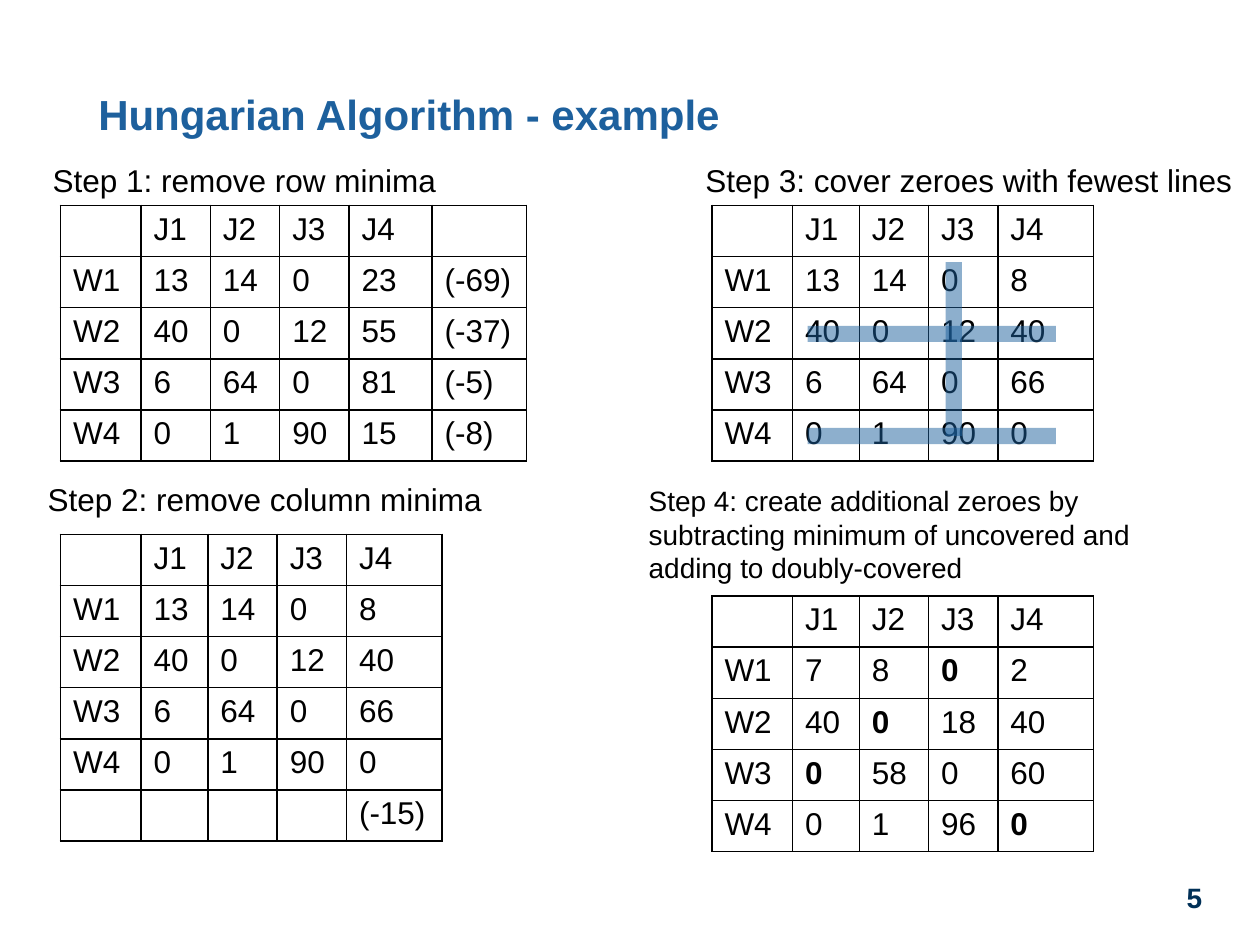
import pptx
import pptx.util
import pptx.dml.color
import pptx.enum.shapes
import pptx.enum.text
import pptx.oxml
import pptx.oxml.ns
from dataclasses import dataclass
from pptx.util import Inches


@dataclass(frozen=True)
class Theme:
    font: str = "Arial"
    heading: str = "1D609D"
    number: str = "003057"
    ink: str = "000000"
    title_size: int = 24
    body_size: int = 18
    small_size: int = 16
    border: float = 1
    cover_width: float = 9.25
    cover_alpha: int = 50


theme = Theme()
title_text = "Hungarian Algorithm - example"
page_number = "5"
jobs = ["", "J1", "J2", "J3", "J4"]
column_reduced = [
    jobs,
    ["W1", "13", "14", "0", "8"],
    ["W2", "40", "0", "12", "40"],
    ["W3", "6", "64", "0", "66"],
    ["W4", "0", "1", "90", "0"],
]
row_reduced = [
    jobs + [""],
    ["W1", "13", "14", "0", "23", "(-69)"],
    ["W2", "40", "0", "12", "55", "(-37)"],
    ["W3", "6", "64", "0", "81", "(-5)"],
    ["W4", "0", "1", "90", "15", "(-8)"],
]
adjusted = [
    jobs,
    ["W1", "7", "8", "0", "2"],
    ["W2", "40", "0", "18", "40"],
    ["W3", "0", "58", "0", "60"],
    ["W4", "0", "1", "96", "0"],
]
assignment = {(1, 3), (2, 2), (3, 1), (4, 4)}
wide_columns = [0.64, 0.55, 0.55, 0.55, 0.66, 0.75]
columns = [0.64, 0.53, 0.55, 0.55, 0.76]
row_height = 0.406
left_x, right_x = 0.48, 5.65

steps = [
    dict(caption="Step 1: remove row minima", box=(0.32, 1.23, 3.34, 0.4), size=theme.body_size,
         wrap=False, corner=(left_x, 1.63), widths=wide_columns, matrix=row_reduced, bold=set()),
    dict(caption="Step 2: remove column minima", box=(0.28, 3.76, 3.68, 0.4), size=theme.body_size,
         wrap=False, corner=(left_x, 4.24), widths=columns,
         matrix=column_reduced + [["", "", "", "", "(-15)"]], bold=set()),
    dict(caption="Step 3: cover zeroes with fewest lines", box=(5.5, 1.23, 4.42, 0.4),
         size=theme.body_size, wrap=False, corner=(right_x, 1.63), widths=columns,
         matrix=column_reduced, bold=set()),
    dict(caption="Step 4: create additional zeroes by subtracting minimum of uncovered "
                 "and adding to doubly-covered",
         box=(5.05, 3.79, 4.28, 0.91), size=theme.small_size, wrap=True,
         corner=(right_x, 4.73), widths=columns, matrix=adjusted, bold=assignment),
]
cover_lines = [
    (6.41, 2.65, 8.38, 2.65),
    (6.41, 3.46, 8.38, 3.46),
    (7.57, 2.08, 7.57, 3.46),
]


def rgb(value):
    return pptx.dml.color.RGBColor.from_string(value)


def style(frame, size, color, bold=False):
    for paragraph in frame.paragraphs:
        for font in [paragraph.font] + [run.font for run in paragraph.runs]:
            font.name = theme.font
            font.size = pptx.util.Pt(size)
            font.bold = bold
            font.color.rgb = rgb(color)


def clear_margins(frame):
    frame.margin_left = frame.margin_right = frame.margin_top = frame.margin_bottom = 0


def add_text(slide, text, box, size, color, bold=False, wrap=False):
    label = slide.shapes.add_textbox(*map(Inches, box))
    frame = label.text_frame
    frame.text = text
    frame.word_wrap = wrap
    style(frame, size, color, bold)
    return frame


def add_borders(cell):
    properties = cell._tc.get_or_add_tcPr()
    for side in ("lnL", "lnR", "lnT", "lnB"):
        properties.append(pptx.oxml.parse_xml(
            f'<a:{side} {pptx.oxml.ns.nsdecls("a")} w="{pptx.util.Pt(theme.border)}">'
            f'<a:solidFill><a:srgbClr val="{theme.ink}"/></a:solidFill></a:{side}>'))


def add_matrix(slide, corner, widths, matrix, bold):
    size = (sum(widths), row_height * len(matrix))
    table = slide.shapes.add_table(len(matrix), len(widths), *map(Inches, corner + size)).table
    table.first_row = table.horz_banding = False
    for column, width in zip(table.columns, widths):
        column.width = Inches(width)
    for r, values in enumerate(matrix):
        table.rows[r].height = Inches(row_height)
        for c, value in enumerate(values):
            cell = table.cell(r, c)
            cell.text_frame.text = value
            style(cell.text_frame, theme.body_size, theme.ink, (r, c) in bold)
            add_borders(cell)
            cell.fill.background()


def add_cover(slide, ends):
    cover = slide.shapes.add_connector(pptx.enum.shapes.MSO_CONNECTOR.STRAIGHT, *map(Inches, ends))
    cover.line.width = pptx.util.Pt(theme.cover_width)
    cover.line.color.rgb = rgb(theme.heading)
    properties = cover._element.spPr
    color = properties.find(".//" + pptx.oxml.ns.qn("a:srgbClr"))
    color.append(pptx.oxml.parse_xml(
        f'<a:alpha {pptx.oxml.ns.nsdecls("a")} val="{theme.cover_alpha * 1000}"/>'))
    properties.append(pptx.oxml.parse_xml(f'<a:effectLst {pptx.oxml.ns.nsdecls("a")}/>'))


deck = pptx.Presentation()
deck.slide_width, deck.slide_height = Inches(10), Inches(7.5)
slide = deck.slides.add_slide(deck.slide_layouts.get_by_name("Title Only"))

title = slide.shapes.title
title.left, title.top, title.width, title.height = map(Inches, (0.78, 0.74, 8.44, 0.38))
title.text_frame.text = title_text
clear_margins(title.text_frame)
title.text_frame.auto_size = pptx.enum.text.MSO_AUTO_SIZE.NONE
title.text_frame.vertical_anchor = pptx.enum.text.MSO_ANCHOR.MIDDLE
title.text_frame.paragraphs[0].alignment = pptx.enum.text.PP_ALIGN.LEFT
title.text_frame.paragraphs[0].line_spacing = 0.9
style(title.text_frame, theme.title_size, theme.heading, True)

for step in steps:
    caption = add_text(slide, step["caption"], step["box"], step["size"], theme.ink, wrap=step["wrap"])
    caption.auto_size = pptx.enum.text.MSO_AUTO_SIZE.SHAPE_TO_FIT_TEXT
    add_matrix(slide, step["corner"], step["widths"], step["matrix"], step["bold"])

for ends in cover_lines:
    add_cover(slide, ends)

number = add_text(slide, page_number, (9.33, 6.99, 0.3, 0.28), theme.small_size, theme.number, True, True)
clear_margins(number)
number.paragraphs[0].alignment = pptx.enum.text.PP_ALIGN.CENTER

deck.save("out.pptx")
